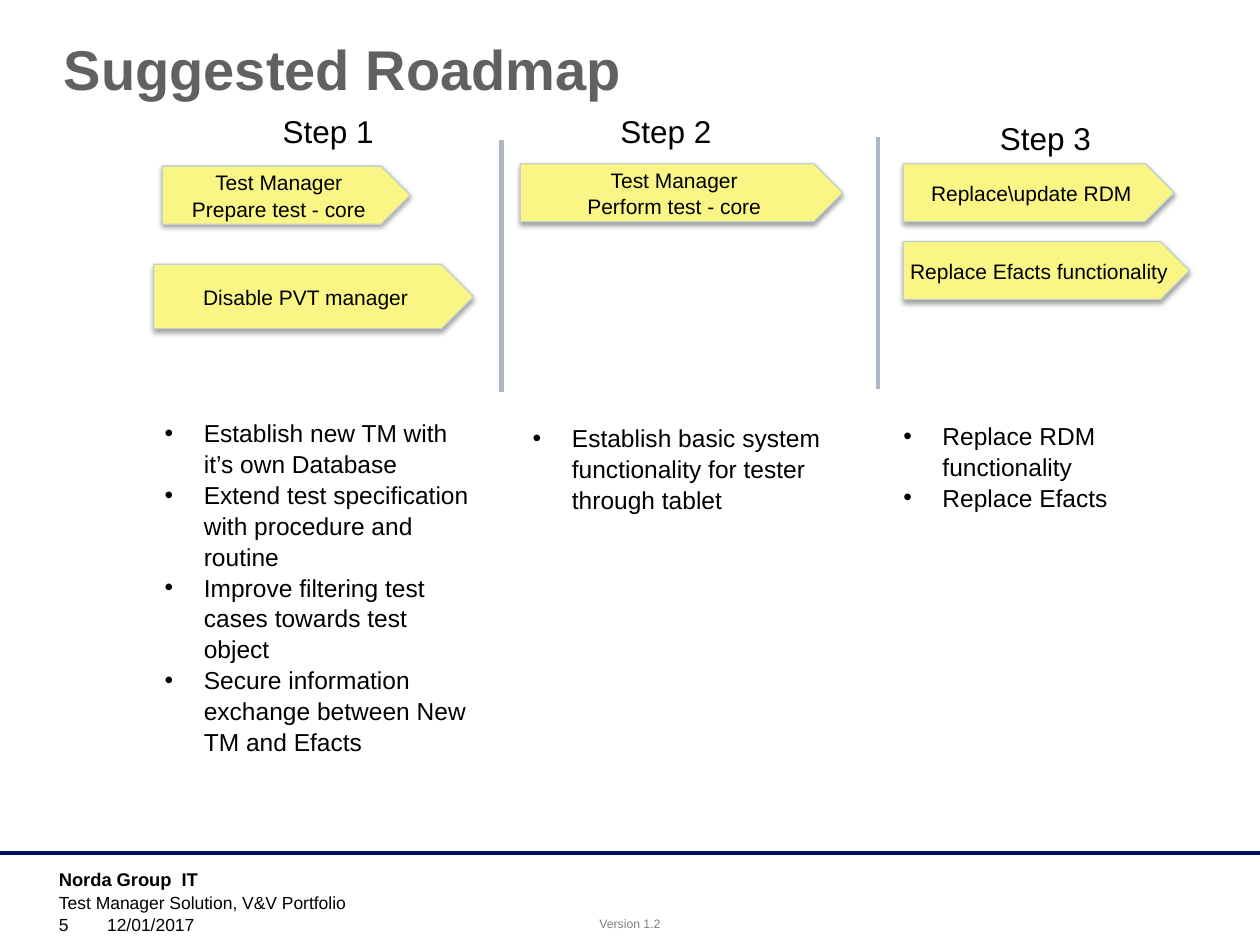
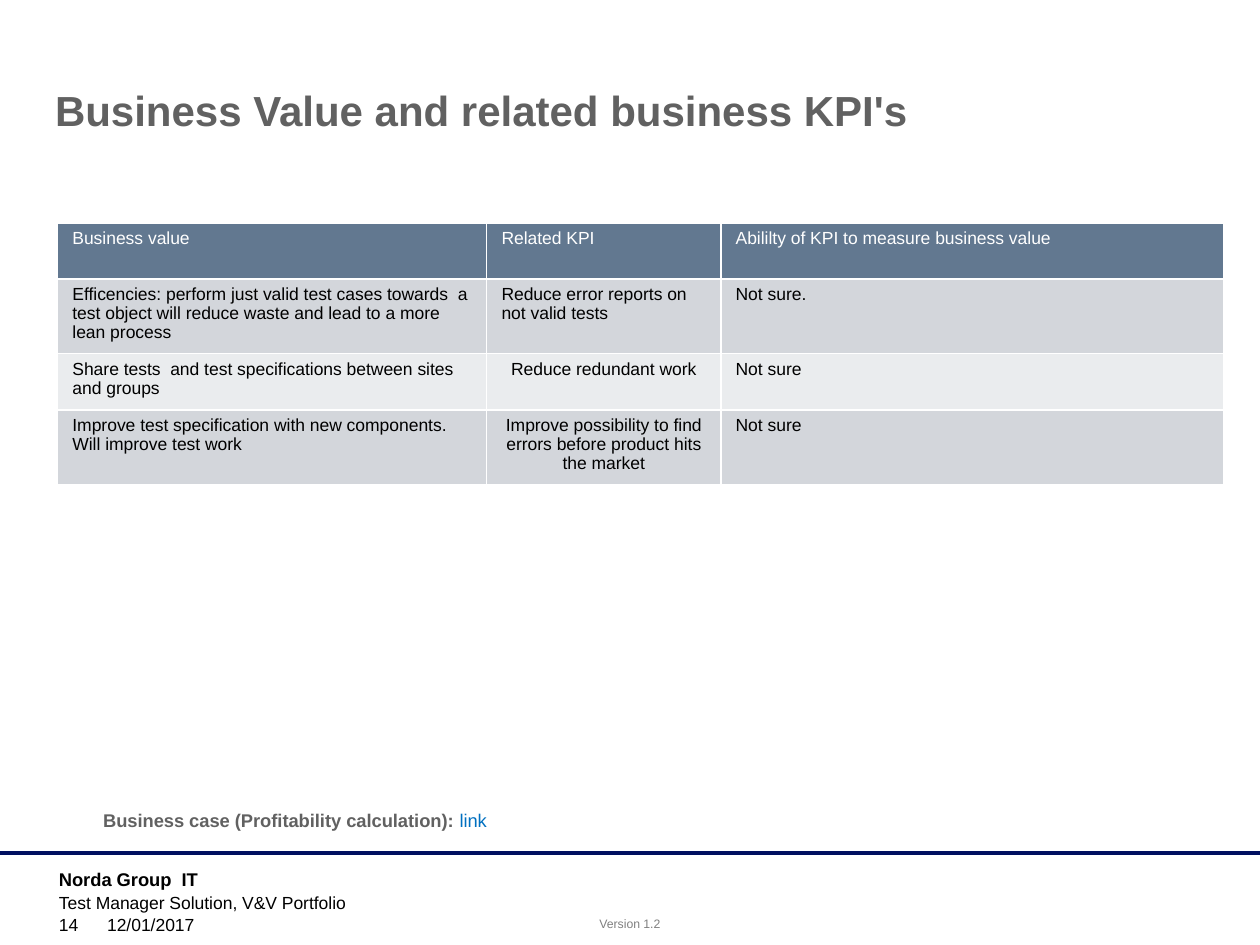
import dataclasses
import pptx
import pptx.dml.color
import pptx.enum.shapes
import pptx.enum.text
import pptx.oxml
import pptx.oxml.ns
import pptx.util
from lxml import etree

Cm = pptx.util.Cm
Pt = pptx.util.Pt
Align = pptx.enum.text.PP_ALIGN
Anchor = pptx.enum.text.MSO_ANCHOR
qn = pptx.oxml.ns.qn


@dataclasses.dataclass(frozen=True)
class Theme:
    font: str = "Arial"
    ink: str = "000000"
    title: str = "616161"
    faint: str = "808080"
    navy: str = "000F60"
    plate: str = "F9F686"
    edge: str = "C2CFCC"
    rule: str = "ADB8C4"
    head: str = "627890"
    bands: tuple = ("D3D6DB", "EAECEE")
    white: str = "FFFFFF"
    link: str = "0070C0"
    huge: float = 32
    large: float = 24
    step: float = 18
    note: float = 14
    label: float = 12
    brand: float = 10.5
    small: float = 10
    tiny: float = 7


theme = Theme()


@dataclasses.dataclass(frozen=True)
class Box:
    left: float
    top: float
    width: float
    height: float

    def inner(self, left, top, width, height):
        return Box(self.left + left, self.top + top, width, height)

    def lengths(self):
        return Cm(self.left), Cm(self.top), Cm(self.width), Cm(self.height)


page = Box(0, 0, 25.4, 19.05)


@dataclasses.dataclass(frozen=True)
class Lane:
    box: Box
    name: str
    head: tuple
    plates: tuple
    notes: tuple
    area: tuple
    rule: tuple = ()


lanes = (
    Lane(Box(3.07, 2.13, 6.83, 13.9), "Step 1", (0.28, 0, 6.53, 1.02),
         (("Disable PVT manager", (0.03, 3.2, 6.45, 1.3)),
          ("Test Manager\nPrepare test - core", (0.2, 1.22, 5, 1.17))),
         ("Establish new TM with it’s own Database",
          "Extend test specification with procedure and routine",
          "Improve filtering test cases towards test object",
          "Secure information exchange between New TM and Efacts"),
         (0, 6.15, 6.83, 7.75)),
    Lane(Box(10.49, 2.13, 6.6, 13.9), "Step 2", (-0.33, 0, 6.53, 1.02),
         (("Test Manager\nPerform test - core", (0, 1.17, 6.5, 1.17)),),
         ("Establish basic system functionality for tester through tablet",),
         (0, 6.25, 6.6, 2.06), (-0.38, 0.69)),
    Lane(Box(17.96, 2.13, 7.01, 13.9), "Step 3", (0.51, 0.15, 5.21, 1.02),
         (("Replace\\update RDM", (0.25, 1.17, 5.46, 1.17)),
          ("Replace Efacts functionality", (0.25, 2.74, 5.77, 1.17))),
         ("Replace RDM functionality", "Replace Efacts"),
         (0, 6.2, 7.01, 4.14), (-0.26, 0.64)),
)

left, mid = Align.LEFT, Align.CENTER
grid = (
    (("Business value", left), ("Related KPI", left),
     ("Abililty of KPI to measure business value", left)),
    (("Efficencies: perform just valid test cases towards  a test object "
      "will reduce waste and lead to a more lean process", left),
     ("Reduce error reports on not valid tests", left), ("Not sure.", left)),
    (("Share tests  and test specifications between sites and groups", left),
     ("Reduce redundant work", mid), ("Not sure", left)),
    (("Improve test specification with new components. "
      "Will improve test work", left),
     ("Improve possibility to find errors before product hits the market",
      mid), ("Not sure", left)),
)


def tint(code):
    return pptx.dml.color.RGBColor.from_string(code)


def style(font, size, color, bold=False):
    font.name = theme.font
    font.size = Pt(size)
    font.bold = bold
    font.color.rgb = tint(color)


def write(frame, text, size, color, bold=False, align=left, space=None):
    frame.text = text
    for para in frame.paragraphs:
        para.alignment = align
        para.line_spacing = space
        for run in para.runs:
            style(run.font, size, color, bold)


def label(slide, box, text, size, color=theme.ink, bold=False, align=left,
          anchor=Anchor.TOP, wrap=True, space=None):
    frame = slide.shapes.add_textbox(*box.lengths()).text_frame
    frame.word_wrap = wrap
    frame.vertical_anchor = anchor
    write(frame, text, size, color, bold, align, space)
    return frame


def line(slide, start, end, color, width):
    bar = slide.shapes.add_connector(
        pptx.enum.shapes.MSO_CONNECTOR.STRAIGHT,
        *(Cm(num) for num in start + end))
    bar.line.color.rgb = tint(color)
    bar.line.width = Pt(width)
    etree.SubElement(bar.element.spPr, qn("a:effectLst"))


def shade(shape):
    shape.shadow.inherit = False
    glow = etree.SubElement(
        shape.element.spPr.find(qn("a:effectLst")), qn("a:outerShdw"),
        blurRad=str(Pt(3.1)), dist=str(Pt(1.6)), dir="5400000",
        rotWithShape="0")
    tone = etree.SubElement(glow, qn("a:srgbClr"), val=theme.ink)
    etree.SubElement(tone, qn("a:alpha"), val="38000")


def plate(slide, box, text):
    shape = slide.shapes.add_shape(
        pptx.enum.shapes.MSO_SHAPE.PENTAGON, *box.lengths())
    shape.fill.solid()
    shape.fill.fore_color.rgb = tint(theme.plate)
    shape.line.color.rgb = tint(theme.edge)
    shape.line.width = Pt(0.75)
    shade(shape)
    frame = shape.text_frame
    frame.word_wrap = False
    frame.vertical_anchor = Anchor.MIDDLE
    write(frame, text, theme.label, theme.ink, align=mid, space=1.05)


def bullets(slide, box, notes):
    frame = label(slide, box, "\n".join(notes), theme.note, space=1.05)
    for para in frame.paragraphs:
        props = para._p.get_or_add_pPr()
        props.set("marL", str(Cm(0.79)))
        props.set("indent", str(-Cm(0.79)))
        etree.SubElement(props, qn("a:buFont"), typeface=theme.font)
        etree.SubElement(props, qn("a:buChar"), char="•")


def draw_lane(slide, lane):
    box = lane.box
    label(slide, box.inner(*lane.head), lane.name, theme.step, align=mid)
    if lane.rule:
        across, down = lane.rule
        start = (box.left + across, box.top + down)
        line(slide, start, (start[0], start[1] + 5.08), theme.rule, 2.5)
    for text, place in lane.plates:
        plate(slide, box.inner(*place), text)
    bullets(slide, box.inner(*lane.area), lane.notes)


def border(cell):
    props = cell._tc.get_or_add_tcPr()
    for spot, side in enumerate(("lnL", "lnR", "lnT", "lnB")):
        edge = etree.Element(qn("a:" + side), w=str(Pt(1)))
        props.insert(spot, edge)
        fill = etree.SubElement(edge, qn("a:solidFill"))
        etree.SubElement(fill, qn("a:srgbClr"), val=theme.white)


def draw_grid(slide, box, widths, heights):
    table = slide.shapes.add_table(
        len(grid), len(widths), *box.lengths()).table
    for col, width in zip(table.columns, widths):
        col.width = Cm(width)
    for row, height in zip(table.rows, heights):
        row.height = Cm(height)
    for down, row in enumerate(grid):
        fill = theme.bands[(down - 1) % 2] if down else theme.head
        color = theme.ink if down else theme.white
        for across, (text, align) in enumerate(row):
            cell = table.cell(down, across)
            cell.margin_left = cell.margin_right = Cm(0.3)
            cell.margin_top = cell.margin_bottom = Cm(0.13)
            cell.fill.solid()
            cell.fill.fore_color.rgb = tint(fill)
            write(cell.text_frame, text, theme.small, color, align=align,
                  space=0.97)
            border(cell)


def footer(slide, box, number):
    line(slide, (box.left, box.top), (box.left + box.width, box.top),
         theme.navy, 2)
    label(slide, box.inner(0.94, 0.18, 5.92, 0.61), "Norda Group  IT",
          theme.brand, bold=True, wrap=False)
    label(slide, box.inner(0.94, 0.66, 19.1, 0.61),
          "Test Manager Solution, V&V Portfolio", theme.small)
    label(slide, box.inner(0.94, 1.19, 1.4, 0.58), number, theme.small,
          anchor=Anchor.BOTTOM)
    label(slide, box.inner(1.91, 1.19, 6.68, 0.58), "12/01/2017",
          theme.small, anchor=Anchor.BOTTOM)
    label(slide, box.inner(11.81, 1.14, 1.78, 0.56), "Version 1.2",
          theme.tiny, theme.faint, align=mid, wrap=False)


def start(deck, title, box, size, number):
    slide = deck.slides.add_slide(deck.slide_layouts[6])
    footer(slide, page.inner(0, 17.2, 25.4, 1.85), number)
    label(slide, box, title, size, theme.title, bold=True)
    return slide


def roadmap(deck, box):
    slide = start(deck, "Suggested Roadmap",
                  box.inner(1.04, 0.57, 22.23, 0.97), theme.huge, "5")
    for lane in lanes:
        draw_lane(slide, lane)


def value(deck, box):
    slide = start(deck, "Business Value and related business KPI's",
                  box.inner(0.86, 1.58, 23.06, 1.07), theme.large, "14")
    draw_grid(slide, box.inner(1.16, 4.5, 23.5, 5.28),
              (8.65, 4.72, 10.13), (1.12, 1.51, 1.14, 1.51))
    frame = label(slide, box.inner(1.83, 16.18, 8.43, 0.71),
                  "Business case (Profitability calculation): ",
                  theme.brand, theme.title, bold=True, wrap=False)
    run = frame.paragraphs[0].add_run()
    run.text = "link"
    style(run.font, theme.brand, theme.link)


def main():
    deck = pptx.Presentation()
    deck.slide_width = Cm(page.width)
    deck.slide_height = Cm(page.height)
    roadmap(deck, page)
    value(deck, page)
    deck.save("out.pptx")


if __name__ == "__main__":
    main()
